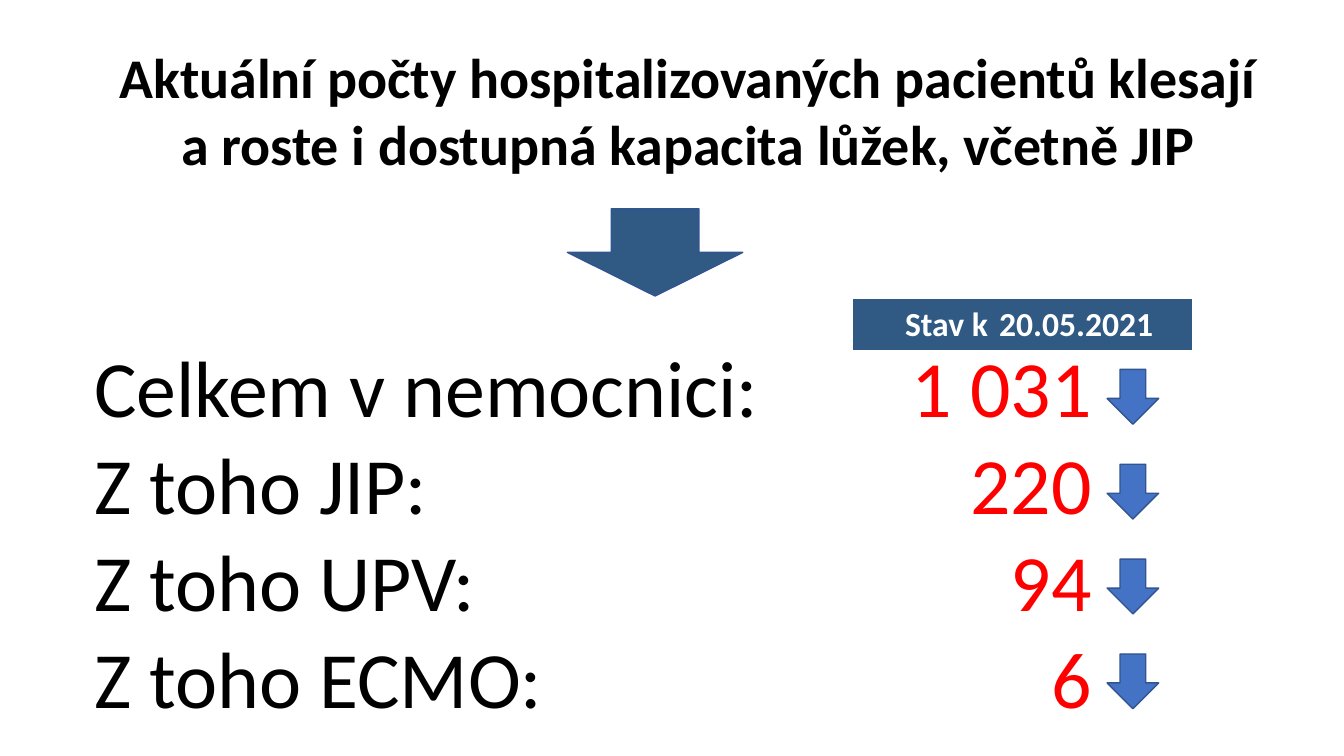
from dataclasses import dataclass

from pptx import Presentation
from pptx.dml.color import RGBColor
from pptx.enum.shapes import MSO_SHAPE as Preset
from pptx.enum.text import MSO_ANCHOR as Anchor, MSO_AUTO_SIZE as AutoSize, PP_ALIGN as Align
from pptx.oxml.ns import qn
from pptx.slide import Slide
from pptx.util import Cm, Pt

NAVY = "305983"
BLUE = "4472C4"
OUTLINE = "325491"
BLACK = "000000"
WHITE = "FFFFFF"
RED = "FF0000"
PLAIN_TABLE = "{2D5ABB26-0587-4C30-8999-92F81FD0307C}"
TIGHT = {"margin_left": Cm(0.03), "margin_right": Cm(0.03), "margin_top": Cm(0.03), "margin_bottom": 0}


@dataclass
class Place:
    left: float
    top: float
    width: float
    height: float

    def lengths(self) -> list:
        return [Cm(value) for value in (self.left, self.top, self.width, self.height)]


@dataclass
class Count:
    label: str
    patients: str


COUNTS = [
    Count("Celkem v nemocnici:", "1 031"),
    Count("Z toho JIP:", "220"),
    Count("Z toho UPV:", "94"),
    Count("Z toho ECMO:", "6"),
]


def colour(value: str) -> RGBColor:
    return RGBColor.from_string(value)


def apply(target, values: dict) -> None:
    for name, value in values.items():
        setattr(target, name, value)


def write(frame, text: str, size: float, ink: str, align: Align, bold: bool = False) -> None:
    frame.text = text
    for para in frame.paragraphs:
        apply(para, {"alignment": align, "line_spacing": 1.0})
        for span in para.runs:
            apply(span.font, {"name": "Calibri", "size": Pt(size), "bold": bold})
            span.font.color.rgb = colour(ink)


def add_plain_table(page: Slide, place: Place, rows: int, widths: list[float]):
    table = page.shapes.add_table(rows, len(widths), *place.lengths()).table
    apply(table, {"first_row": False, "horz_banding": False})
    table._tbl.tblPr.find(qn("a:tableStyleId")).text = PLAIN_TABLE
    for column, width in zip(table.columns, widths):
        column.width = Cm(width)
    return table


def add_arrow(page: Slide, preset: Preset, place: Place, fill: str, rotation: float = 0) -> None:
    arrow = page.shapes.add_shape(preset, *place.lengths())
    arrow.rotation = rotation
    arrow.shadow.inherit = False
    arrow.fill.solid()
    arrow.fill.fore_color.rgb = colour(fill)
    arrow.line.color.rgb = colour(OUTLINE)
    arrow.line.width = Pt(1)


def add_title(page: Slide) -> None:
    title = page.shapes.title
    left, top, width, height = Place(1.88, 0.94, 30.91, 3.68).lengths()
    apply(title, {"left": left, "top": top, "width": width, "height": height})
    frame = title.text_frame
    text = "Aktuální počty hospitalizovaných pacientů klesají\va roste i dostupná kapacita lůžek, včetně JIP"
    write(frame, text, 40, BLACK, Align.CENTER, True)
    apply(frame, {"word_wrap": True, "auto_size": AutoSize.SHAPE_TO_FIT_TEXT, "vertical_anchor": Anchor.TOP})


def add_counts(page: Slide) -> None:
    table = add_plain_table(page, Place(2.34, 8.59, 25.2, 9.72), len(COUNTS), [19.94, 5.26])
    for row, count in zip(table.rows, COUNTS):
        label, patients = row.cells
        for cell in (label, patients):
            apply(cell, TIGHT | {"vertical_anchor": Anchor.BOTTOM})
            cell.fill.background()
        write(label.text_frame, count.label, 57, BLACK, Align.LEFT)
        write(patients.text_frame, count.patients, 57, RED, Align.RIGHT)


def add_date(page: Slide) -> None:
    table = add_plain_table(page, Place(21.49, 7.54, 8.54, 1.27), 1, [3.66, 4.88])
    caption, date = table.rows[0].cells
    for cell in (caption, date):
        cell.fill.solid()
        cell.fill.fore_color.rgb = colour(NAVY)
    apply(date, TIGHT | {"vertical_anchor": Anchor.MIDDLE})
    write(caption.text_frame, "Stav k", 24, WHITE, Align.RIGHT, True)
    write(date.text_frame, "20.05.2021", 24, WHITE, Align.LEFT, True)


def main() -> None:
    deck = Presentation()
    apply(deck, {"slide_width": Cm(33.87), "slide_height": Cm(19.05)})
    page = deck.slides.add_slide(deck.slide_layouts[5])
    add_title(page)
    add_counts(page)
    add_arrow(page, Preset.DOWN_ARROW, Place(14.3, 5.26, 4.42, 2.2), NAVY)
    for index in range(len(COUNTS)):
        place = Place(27.86, 9.35 + index * 2.39, 1.38, 1.3)
        add_arrow(page, Preset.RIGHT_ARROW, place, BLUE, 90)
    add_date(page)
    deck.save("out.pptx")


if __name__ == "__main__":
    main()
